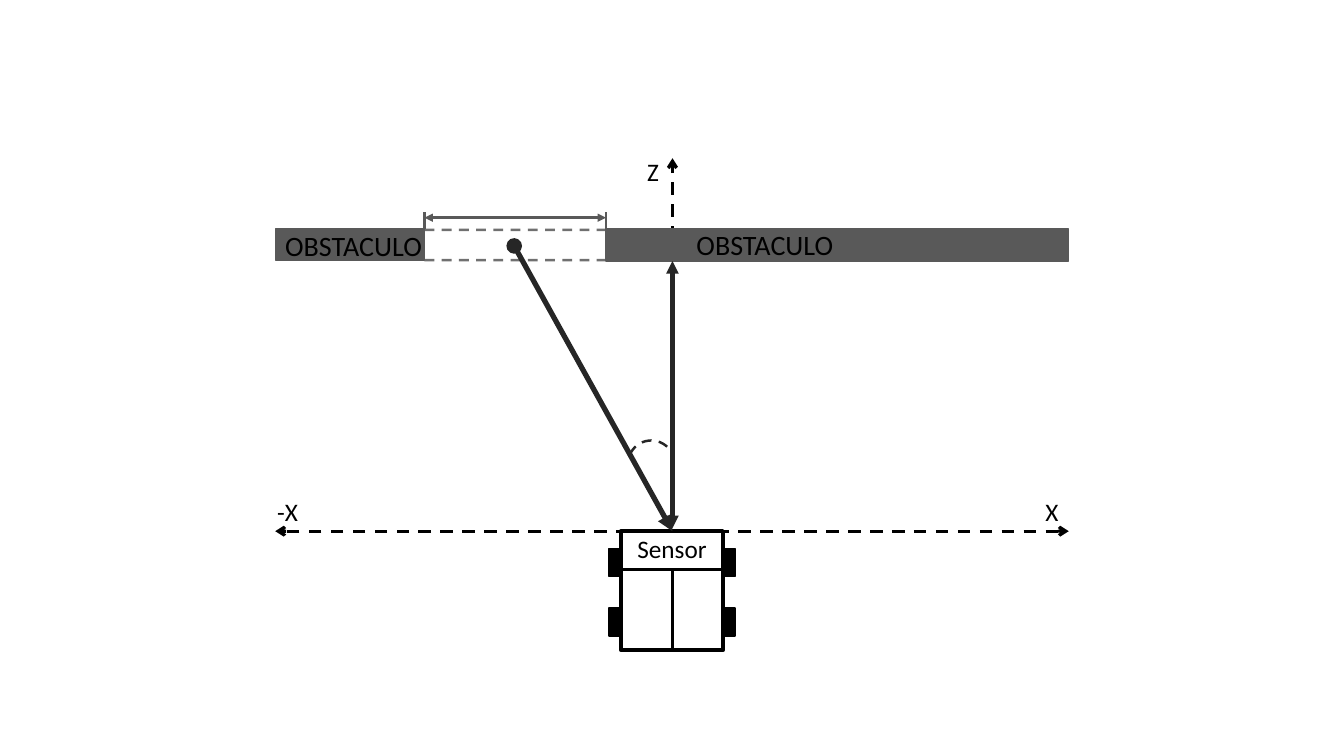
from lxml import etree
from pptx import Presentation
from pptx.dml.color import RGBColor
from pptx.enum.dml import MSO_LINE
from pptx.enum.shapes import MSO_CONNECTOR, MSO_SHAPE
from pptx.enum.text import MSO_AUTO_SIZE, PP_ALIGN
from pptx.oxml.ns import qn
from pptx.util import Inches, Pt

DASH = MSO_LINE.DASH
STRAIGHT = MSO_CONNECTOR.STRAIGHT
RECT, ARC = MSO_SHAPE.RECTANGLE, MSO_SHAPE.ARC
LEFT, CENTER = PP_ALIGN.LEFT, PP_ALIGN.CENTER
FIT = MSO_AUTO_SIZE.SHAPE_TO_FIT_TEXT

THEME = {
    "font": "Calibri",
    "black": RGBColor(0x00, 0x00, 0x00),
    "gray": RGBColor(0x59, 0x59, 0x59),
    "dark": RGBColor(0x26, 0x26, 0x26),
    "label": Pt(18),
    "obstacle": Pt(20),
}

prs = Presentation()
prs.slide_width, prs.slide_height = Inches(13.33), Inches(7.5)
s = prs.slides.add_slide(prs.slide_layouts[6])


def add_line(x1, y1, x2, y2, color, width, dash=None, head=None, tail=None, alpha=None):
    sp = s.shapes.add_connector(STRAIGHT, Inches(x1), Inches(y1), Inches(x2), Inches(y2))
    sp.line.color.rgb = THEME[color]
    sp.line.width = Pt(width)
    if dash:
        sp.line.dash_style = dash
    ln = sp.line._get_or_add_ln()
    if alpha:
        etree.SubElement(ln.find(".//" + qn("a:srgbClr")), qn("a:alpha"), val=str(alpha * 1000))
    for tag, kind in (("a:headEnd", head), ("a:tailEnd", tail)):
        if kind:
            etree.SubElement(ln, qn(tag), type=kind)
    etree.SubElement(sp._element.spPr, qn("a:effectLst"))


def add_text(text, x, y, w, h, size="label", align=LEFT, wrap=True):
    tf = s.shapes.add_textbox(Inches(x), Inches(y), Inches(w), Inches(h)).text_frame
    tf.word_wrap = wrap
    tf.auto_size = FIT
    p = tf.paragraphs[0]
    p.alignment = align
    r = p.add_run()
    r.text = text
    r.font.name = THEME["font"]
    r.font.size = THEME[size]
    r.font.color.rgb = THEME["black"]


center_x, axis_y = 6.67, 5.27
wall_left, wall_right, wall_y, wall_bottom = 2.73, 10.6, 2.27, 2.59
gap_left, gap_right = 4.21, 6.01
body_left, body_right, body_bottom = 6.16, 7.17, 6.45
sensor_bottom = 5.65

for x, y in ((center_x, 1.57), (wall_right, axis_y), (wall_left, axis_y)):
    start_y = 5.2 if x == center_x else axis_y
    add_line(center_x, start_y, x, y, "black", 2.25, dash=DASH, tail="arrow")

boxes = [(body_left, axis_y, body_right - body_left, body_bottom - axis_y, None, "black", 3)]
for x in (body_left - 0.12, body_right):
    for y in (5.44, 6.03):
        boxes.append((x, y, 0.12, 0.28, "black", "black", 1))
for x, right, h in ((gap_right, wall_right, 0.32), (wall_left, gap_left, 0.31)):
    boxes.append((x, wall_y, right - x, h, "gray", "gray", 1))

for x, y, w, h, fill, color, width in boxes:
    sp = s.shapes.add_shape(RECT, Inches(x), Inches(y), Inches(w), Inches(h))
    sp.shadow.inherit = False
    if fill:
        sp.fill.solid()
        sp.fill.fore_color.rgb = THEME[fill]
    else:
        sp.fill.background()
    sp.line.color.rgb = THEME[color]
    sp.line.width = Pt(width)

add_line(center_x, sensor_bottom, center_x, body_bottom, "black", 2.5)
add_line(body_left, sensor_bottom, body_right, sensor_bottom, "black", 2.5)

for y in (2.28, 2.58):
    add_line(gap_left, y, gap_right, y, "gray", 1.75, dash=DASH, alpha=86)

add_text("Z", 6.32, 1.5, 0.29, 0.4)
add_text("X", 10.27, 4.87, 0.33, 0.4, wrap=False)
add_text("-X", 2.65, 4.87, 0.41, 0.4, wrap=False)
add_text("OBSTACULO", 6.81, 2.21, 1.57, 0.44, size="obstacle")
add_text("OBSTACULO", 2.73, 2.22, 1.7, 0.44, size="obstacle")
add_text("Sensor", body_left, 5.24, 1.01, 0.4, align=CENTER)

add_line(5.1, 2.44, center_x, axis_y, "dark", 3.75, head="oval", tail="triangle")

angle = s.shapes.add_shape(ARC, Inches(6.23), Inches(4.37), Inches(0.46), Inches(0.46))
angle.shadow.inherit = False
angle.adjustments[0] = 122.17
angle.adjustments[1] = 200.55
angle.fill.background()
angle.line.color.rgb = THEME["dark"]
angle.line.width = Pt(1.75)
angle.line.dash_style = DASH

for x in (gap_left, gap_right):
    add_line(x, wall_y, x, 2.1, "gray", 1.5)
add_line(gap_left, 2.16, gap_right, 2.16, "gray", 1.75, head="triangle", tail="triangle")
add_line(center_x, wall_bottom, center_x, 5.24, "dark", 3, head="triangle", tail="triangle")

prs.save("out.pptx")
